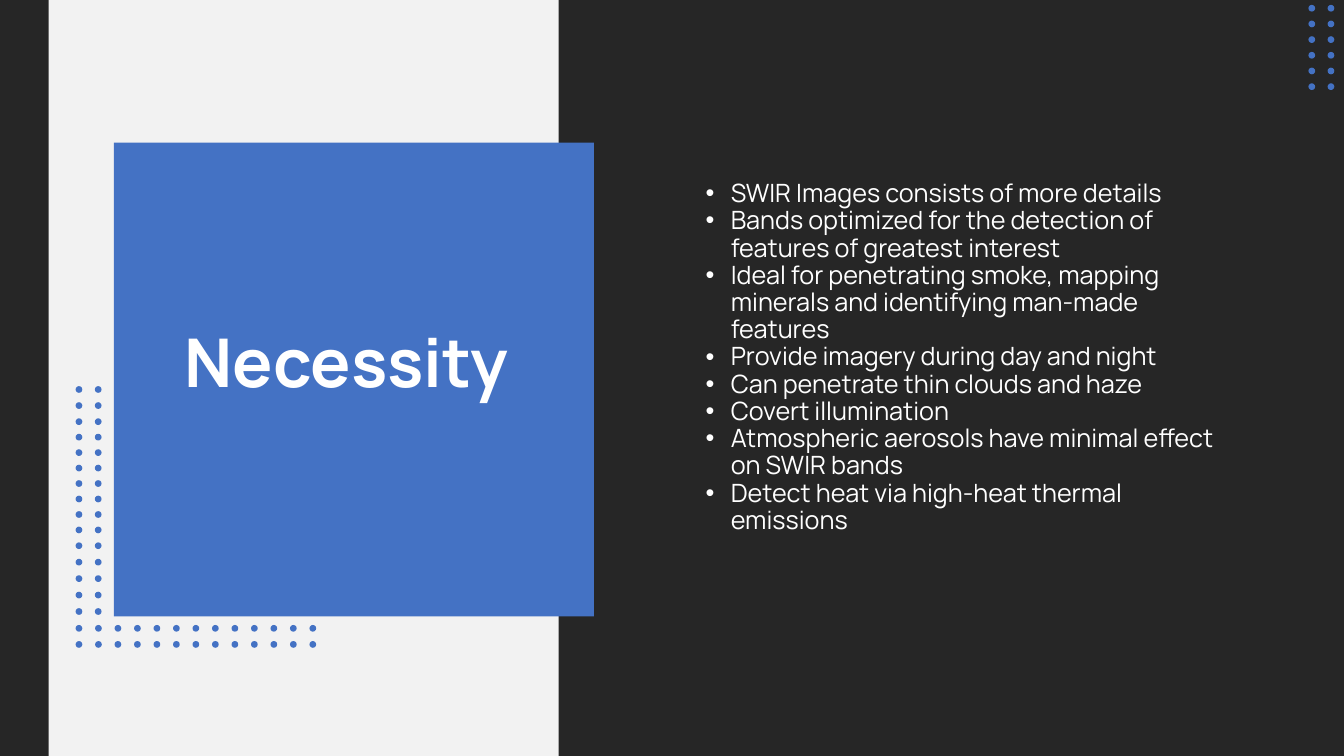
from dataclasses import dataclass

from lxml import etree
from pptx import Presentation
from pptx.dml.color import RGBColor
from pptx.enum.shapes import MSO_SHAPE
from pptx.enum.text import MSO_ANCHOR, MSO_AUTO_SIZE, PP_ALIGN
from pptx.oxml.ns import qn
from pptx.shapes.autoshape import Shape
from pptx.shapes.shapetree import GroupShapes, SlideShapes
from pptx.text.text import _Paragraph as Paragraph
from pptx.util import Pt

RECTANGLE = MSO_SHAPE.RECTANGLE
OVAL = MSO_SHAPE.OVAL
TOP = MSO_ANCHOR.TOP
MIDDLE = MSO_ANCHOR.MIDDLE
LEFT = PP_ALIGN.LEFT
NO_AUTOFIT = MSO_AUTO_SIZE.NONE


@dataclass(frozen=True)
class Theme:
    dark: RGBColor = RGBColor(0x26, 0x26, 0x26)
    light: RGBColor = RGBColor(0xF2, 0xF2, 0xF2)
    accent: RGBColor = RGBColor(0x44, 0x72, 0xC4)
    text: RGBColor = RGBColor(0xFF, 0xFF, 0xFF)
    font: str = "Manrope"
    title_size: float = 48
    body_size: float = 18
    line_spacing: float = 0.9
    bullet_indent: float = 18
    dot_size: float = 4.8


@dataclass(frozen=True)
class Box:
    left: float
    top: float
    width: float
    height: float


@dataclass(frozen=True)
class Panel:
    box: Box
    color: RGBColor


@dataclass(frozen=True)
class DotGrid:
    left: float
    top: float
    columns: int
    rows: int
    column_step: float
    row_step: float


THEME = Theme()
SLIDE = Box(0, 0, 960, 540)
TITLE = Box(124.6, 229, 275.8, 187.9)
BODY = Box(496.8, 91.4, 393.8, 357.8)

PANELS = (
    Panel(SLIDE, THEME.dark),
    Panel(Box(34.8, 0, 364.2, 540), THEME.light),
    Panel(Box(81.4, 101.9, 342.8, 338.4), THEME.accent),
)

CORNER_DOTS = (DotGrid(934.6, 3.5, 2, 6, 13.7, 11.2),)
FRAME_DOTS = (
    DotGrid(54, 275.8, 2, 2, 13.75, 11.5),
    DotGrid(54, 298.8, 2, 8, 13.75, 11.05),
    DotGrid(54, 387.4, 2, 5, 13.75, 11.75),
    DotGrid(54, 446.4, 13, 2, 13.92, 11.5),
)

BULLETS = (
    "SWIR Images consists of more details",
    "Bands optimized for the detection of features of greatest interest",
    "Ideal for penetrating smoke, mapping minerals and identifying man-made features",
    "Provide imagery during day and night",
    "Can penetrate thin clouds and haze",
    "Covert illumination",
    "Atmospheric aerosols have minimal effect on SWIR bands",
    "Detect heat via high-heat thermal emissions",
)


def add_filled_shape(
    shapes: SlideShapes | GroupShapes, kind: MSO_SHAPE, box: Box, color: RGBColor
) -> None:
    shape = shapes.add_shape(
        kind, Pt(box.left), Pt(box.top), Pt(box.width), Pt(box.height)
    )
    shape.shadow.inherit = False
    shape.fill.solid()
    shape.fill.fore_color.rgb = color
    shape.line.fill.background()


def add_dots(shapes: SlideShapes, grids: tuple[DotGrid, ...]) -> None:
    group = shapes.add_group_shape()
    for grid in grids:
        for row in range(grid.rows):
            for column in range(grid.columns):
                box = Box(
                    grid.left + column * grid.column_step,
                    grid.top + row * grid.row_step,
                    THEME.dot_size,
                    THEME.dot_size,
                )
                add_filled_shape(group.shapes, OVAL, box, THEME.accent)


def place_placeholder(placeholder: Shape, box: Box, anchor: MSO_ANCHOR) -> None:
    placeholder.left, placeholder.top = Pt(box.left), Pt(box.top)
    placeholder.width, placeholder.height = Pt(box.width), Pt(box.height)
    frame = placeholder.text_frame
    frame.word_wrap = True
    frame.auto_size = NO_AUTOFIT
    frame.vertical_anchor = anchor
    element = placeholder.element
    element.getparent().append(element)


def format_paragraph(paragraph: Paragraph, size: float, bold: bool) -> None:
    paragraph.alignment = LEFT
    paragraph.line_spacing = THEME.line_spacing
    paragraph.space_before = Pt(0)
    paragraph.font.name = THEME.font
    paragraph.font.size = Pt(size)
    paragraph.font.bold = bold
    paragraph.font.color.rgb = THEME.text


def add_bullet(paragraph: Paragraph) -> None:
    properties = paragraph._p.get_or_add_pPr()
    properties.set("marL", str(Pt(THEME.bullet_indent)))
    properties.set("indent", str(-Pt(THEME.bullet_indent)))
    etree.SubElement(properties, qn("a:buFont"), typeface="Arial")
    etree.SubElement(properties, qn("a:buChar"), char="•")


def fill_title(title: Shape) -> None:
    place_placeholder(title, TITLE, TOP)
    title.text_frame.margin_top = Pt(6)
    title.text_frame.text = "Necessity"
    format_paragraph(title.text_frame.paragraphs[0], THEME.title_size, True)


def fill_body(body: Shape) -> None:
    place_placeholder(body, BODY, MIDDLE)
    body.text_frame.margin_bottom = Pt(33)
    body.text_frame.text = "\n".join(BULLETS)
    for paragraph in body.text_frame.paragraphs:
        add_bullet(paragraph)
        format_paragraph(paragraph, THEME.body_size, False)


def main() -> None:
    presentation = Presentation()
    presentation.slide_width = Pt(SLIDE.width)
    presentation.slide_height = Pt(SLIDE.height)
    slide = presentation.slides.add_slide(presentation.slide_layouts[1])
    for panel in PANELS:
        add_filled_shape(slide.shapes, RECTANGLE, panel.box, panel.color)
    fill_title(slide.shapes.title)
    add_dots(slide.shapes, CORNER_DOTS)
    add_dots(slide.shapes, FRAME_DOTS)
    fill_body(slide.placeholders[1])
    presentation.save("out.pptx")


if __name__ == "__main__":
    main()
